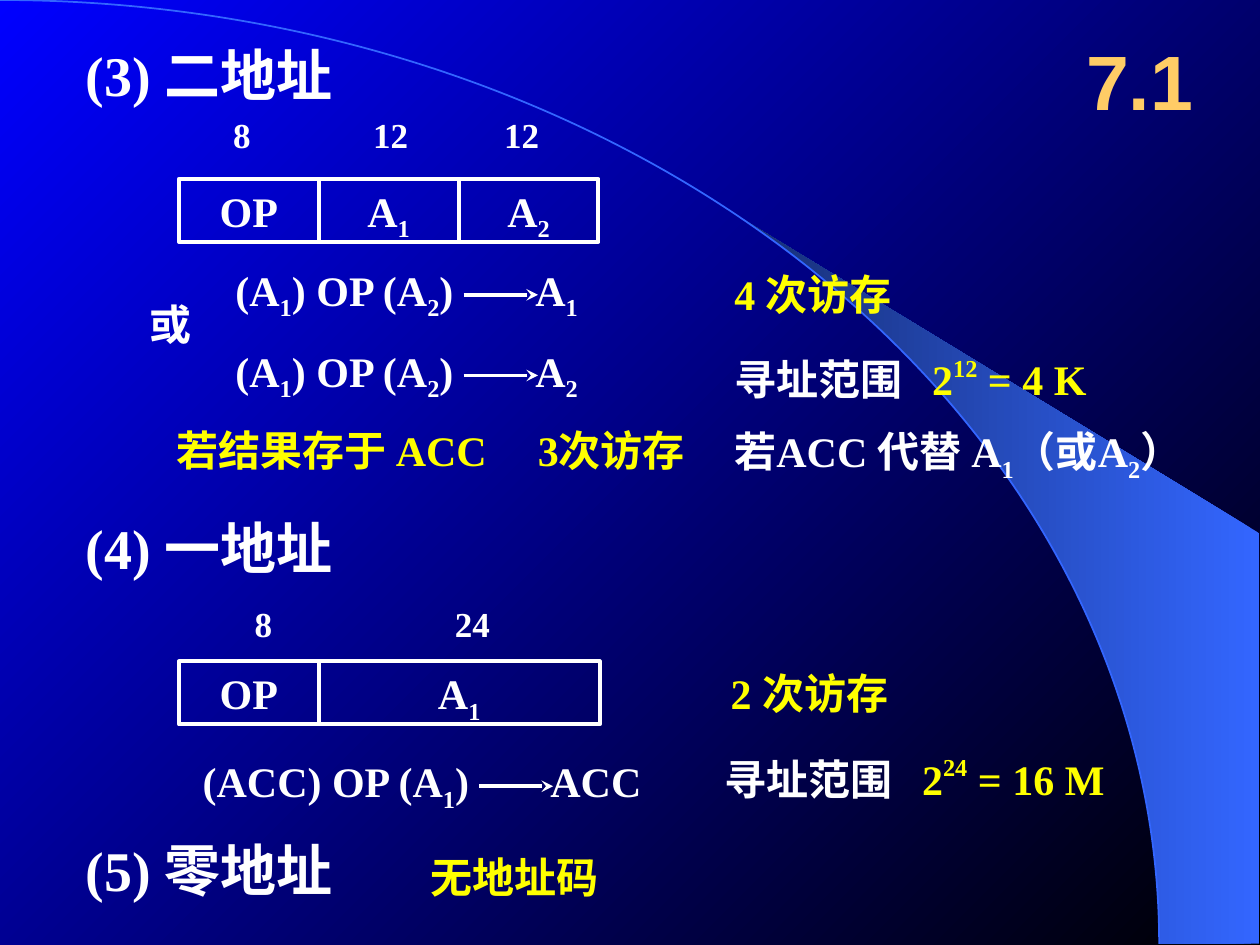
from math import asin, cos, pi, sin
from lxml.etree import SubElement
from pptx import Presentation
from pptx.dml.color import RGBColor
from pptx.enum.shapes import MSO_CONNECTOR, MSO_SHAPE
from pptx.enum.text import MSO_ANCHOR, MSO_AUTO_SIZE, PP_ALIGN
from pptx.oxml.ns import qn
from pptx.util import Inches, Pt

WHITE, YELLOW, GOLD, BLUE = "FFFFFF", "FFFF00", "FFCC66", "3366FF"
SERIF = "Times New Roman"
SUB, SUPER = -25000, 45000
A1 = [("A", 0), ("1", SUB)]
A2 = [("A", 0), ("2", SUB)]
TWO_OPERANDS = [("(A", 0), ("1", SUB), (") OP (A", 0), ("2", SUB), (")", 0)]
ONE_OPERAND = [("(ACC) OP (A", 0), ("1", SUB), (")", 0)]

HEADINGS = [("(3) 二地址", 0.27), ("(4) 一地址", 4.03), ("(5) 零地址", 6.58)]
FORMATS = [
    {"top": 1.42, "label_top": 0.85, "fields": [
        ("8", 1.92, [("OP", 0)], 1.11), ("12", 3.1, A1, 1.11), ("12", 4.14, A2, 1.11)]},
    {"top": 5.25, "label_top": 4.73, "fields": [
        ("8", 2.09, [("OP", 0)], 1.11), ("24", 3.75, A1, 2.23)]},
]
OPERATIONS = [
    (1.77, 2.05, TWO_OPERANDS, 3.68, A1),
    (1.77, 2.69, TWO_OPERANDS, 3.68, A2),
    (1.51, 5.95, ONE_OPERAND, 3.8, [("ACC", 0)]),
]
NOTES = [
    (1.09, 2.32, 0.6, [("或", 0)], WHITE),
    (5.73, 2.08, 3.02, [("4 次访存", 0)], YELLOW),
    (5.73, 3.33, 3.93, [("若ACC 代替 A", 0), ("1", SUB), ("（或A", 0), ("2", SUB), ("）", 0)], WHITE),
    (1.3, 3.32, 3.08, [("若结果存于 ACC", 0)], YELLOW),
    (4.17, 3.32, 2, [("3次访存", 0)], YELLOW),
    (3.32, 6.71, 1.7, [("无地址码", 0)], YELLOW),
    (5.7, 5.25, 1.7, [("2 次访存", 0)], YELLOW),
]
RANGES = [(5.73, 2.75, "12", " = 4 K"), (5.65, 5.92, "24", " = 16 M")]
FIELD_LEFT, FIELD_HEIGHT, ARROW_LENGTH, RANGE_TAB = 1.42, 0.5, 0.59, 1.57
RADIUS_X, RADIUS_Y, WEDGE_STEPS = 9.2, 7.49, 40


def rgb(color):
    return RGBColor.from_string(color)


def set_gradient(fill, colors, angle):
    fill.gradient()
    fill.gradient_angle = angle
    for stop, color in zip(fill.gradient_stops, colors):
        stop.color.rgb = rgb(color)


def write(shape, runs, size=24, color=WHITE, font=SERIF, align=PP_ALIGN.LEFT,
          anchor=MSO_ANCHOR.TOP, tab=None):
    frame = shape.text_frame
    frame.word_wrap = True
    frame.auto_size = MSO_AUTO_SIZE.NONE
    frame.vertical_anchor = anchor
    paragraph = frame.paragraphs[0]
    paragraph.alignment = align
    if tab:
        tabs = SubElement(paragraph._p.get_or_add_pPr(), qn("a:tabLst"))
        SubElement(tabs, qn("a:tab"), pos=str(Inches(tab)), algn="l")
    paragraph.font.name = font
    paragraph.font.size = Pt(size)
    paragraph.font.bold = True
    paragraph.font.color.rgb = rgb(color)
    for text, baseline, *own_color in runs:
        run = paragraph.add_run()
        run.text = text
        if baseline:
            run.font._element.set("baseline", str(baseline))
        if own_color:
            run.font.color.rgb = rgb(own_color[0])


def add_text(slide, left, top, width, height, runs, **style):
    box = slide.shapes.add_textbox(Inches(left), Inches(top), Inches(width), Inches(height))
    write(box, runs, **style)


def add_backdrop(slide):
    set_gradient(slide.background.fill, ["000000", "0000FF"], 135)
    start = asin(0.64)
    angles = [start + (pi / 2 - start) * step / WEDGE_STEPS for step in range(WEDGE_STEPS + 1)]
    curve = [(RADIUS_X * sin(angle), RADIUS_Y * (1 - cos(angle))) for angle in angles]
    outline = curve + [(9.99, RADIUS_Y), (9.99, 4.23)]
    points = [(Inches(x), Inches(y)) for x, y in outline]
    builder = slide.shapes.build_freeform(*points[0])
    builder.add_line_segments(points[1:], close=True)
    wedge = builder.convert_to_shape()
    wedge.shadow.inherit = False
    set_gradient(wedge.fill, [BLUE, "172F75"], 180)
    wedge.line.fill.background()
    arc = slide.shapes.add_shape(MSO_SHAPE.ARC, Inches(-RADIUS_X), 0,
                                 Inches(2 * RADIUS_X), Inches(2 * RADIUS_Y))
    arc.shadow.inherit = False
    arc.fill.background()
    arc.line.color.rgb = rgb(BLUE)
    arc.line.width = Pt(1)


def add_format(slide, top, label_top, fields):
    left = FIELD_LEFT
    for bits, center, name, width in fields:
        add_text(slide, center - 0.3, label_top, 0.6, 0.44, [(bits, 0)],
                 size=20, align=PP_ALIGN.CENTER)
        field = slide.shapes.add_shape(MSO_SHAPE.RECTANGLE, Inches(left), Inches(top),
                                       Inches(width), Inches(FIELD_HEIGHT))
        field.shadow.inherit = False
        field.fill.background()
        field.line.color.rgb = rgb(WHITE)
        field.line.width = Pt(2.25)
        write(field, name, align=PP_ALIGN.CENTER)
        left += width


def add_operation(slide, left, top, expression, arrow_left, result):
    add_text(slide, left, top, arrow_left - left + 0.1, 0.56, expression)
    arrow_right, middle = arrow_left + ARROW_LENGTH, top + 0.29
    arrow = slide.shapes.add_connector(MSO_CONNECTOR.STRAIGHT, Inches(arrow_left), Inches(middle),
                                       Inches(arrow_right), Inches(middle))
    arrow.line.color.rgb = rgb(WHITE)
    arrow.line.width = Pt(2.25)
    SubElement(arrow.line._get_or_add_ln(), qn("a:tailEnd"), type="stealth")
    SubElement(arrow._element.spPr, qn("a:effectLst"))
    add_text(slide, arrow_right - 0.12, top, 1.1, 0.56, result)


def main():
    """Build the slide on two-, one- and zero-address instruction formats."""
    presentation = Presentation()
    presentation.slide_width, presentation.slide_height = Inches(10), Inches(7.5)
    slide = presentation.slides.add_slide(presentation.slide_layouts[5])
    add_backdrop(slide)
    title = slide.shapes.title
    title.left, title.top, title.width, title.height = map(Inches, (8.42, 0.17, 1.25, 0.92))
    write(title, [("7.1", 0)], size=44, color=GOLD, font="Arial",
          align=PP_ALIGN.CENTER, anchor=MSO_ANCHOR.MIDDLE)
    for heading, top in HEADINGS:
        add_text(slide, 0.58, top, 3, 0.64, [(heading, 0)], size=32)
    for instruction in FORMATS:
        add_format(slide, **instruction)
    for operation in OPERATIONS:
        add_operation(slide, *operation)
    for left, top, width, runs, color in NOTES:
        add_text(slide, left, top, width, 0.5, runs, color=color)
    for left, top, exponent, value in RANGES:
        runs = [("寻址范围\t", 0, WHITE), ("2", 0), (exponent, SUPER), (value, 0)]
        add_text(slide, left, top, 3.43, 0.51, runs, color=YELLOW, tab=RANGE_TAB)
    presentation.save("out.pptx")


if __name__ == "__main__":
    main()
